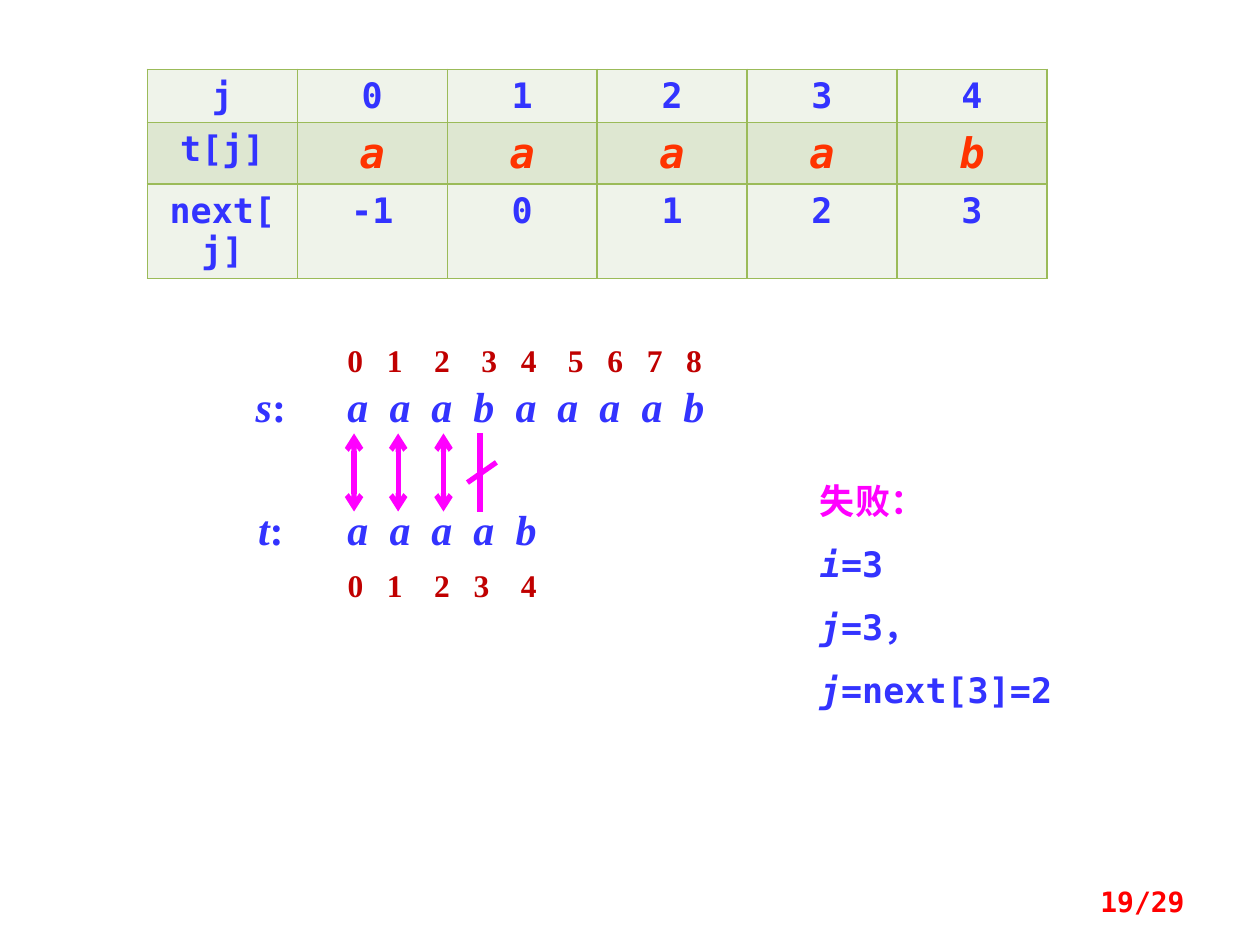
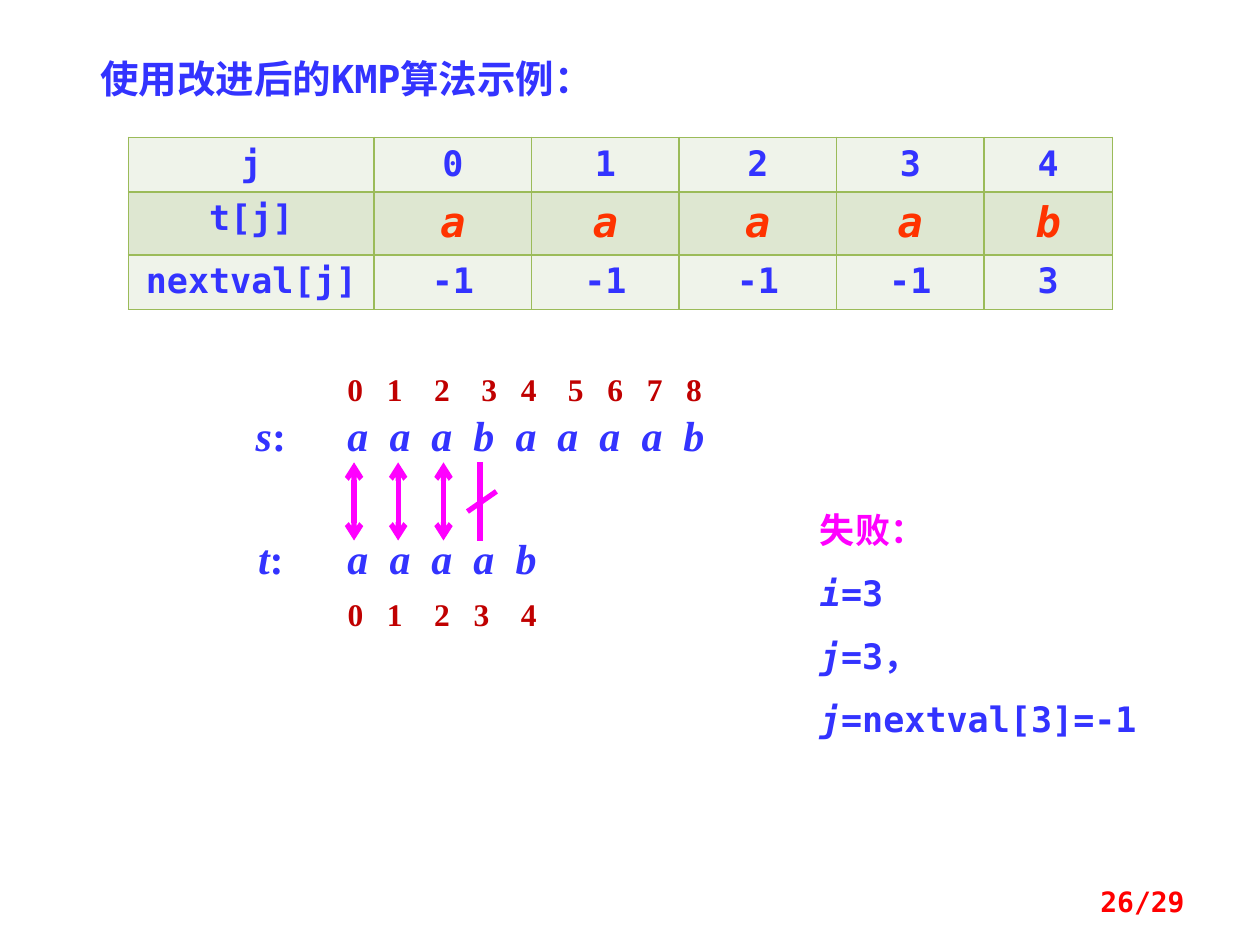
from lxml import etree
from pptx import Presentation
from pptx.dml.color import RGBColor
from pptx.enum.shapes import MSO_CONNECTOR as Connector
from pptx.enum.text import MSO_ANCHOR as Anchor, MSO_AUTO_SIZE as AutoSize, PP_ALIGN as Align
from pptx.oxml import parse_xml
from pptx.oxml.ns import nsdecls, qn
from pptx.util import Inches, Pt

# ---- Content ----
SLIDES = [
    dict(
        title=None, page="19/29",
        rows=[["j", "0", "1", "2", "3", "4"],
              ["t[j]", "a", "a", "a", "a", "b"],
              ["next[j]", "-1", "0", "1", "2", "3"]],
        table_at=(1.17, 0.55), columns=[1.19] * 6, heights=[0.42, 0.48, 0.42],
        trace_top=2.66, note_width=2.8, jump="=next[3]=2"),
    dict(
        title="使用改进后的KMP算法示例：", page="26/29",
        rows=[["j", "0", "1", "2", "3", "4"],
              ["t[j]", "a", "a", "a", "a", "b"],
              ["nextval[j]", "-1", "-1", "-1", "-1", "3"]],
        table_at=(1.02, 1.09), columns=[1.95, 1.25, 1.17, 1.25, 1.17, 1.02],
        heights=[0.43, 0.5, 0.43],
        trace_top=2.89, note_width=3.4, jump="=nextval[3]=-1"),
]
TARGET, PATTERN = "aaabaaaab", "aaaab"
# Tab stops of the index digits, in points
TARGET_STOPS = [22.5, 49.5, 76.5, 99, 126, 148.5, 171, 193.5]
PATTERN_STOPS = [22.5, 49.5, 72, 99]
LETTER_PITCH = 24

# ---- Theme ----
MONO, SERIF = "DejaVu Sans Mono", "Times New Roman"
BLUE, MAGENTA = "3333FF", "FF00FF"
THEME = dict(
    title=dict(name=MONO, size=22, color=BLUE, bold=True),
    cell=dict(name=MONO, size=20, color=BLUE, bold=True),
    pattern_cell=dict(name=MONO, size=24, color="FF3300", bold=True, italic=True),
    letter=dict(name=SERIF, size=24, color=BLUE, bold=True, italic=True),
    colon=dict(name=SERIF, size=24, color=BLUE, bold=True, italic=False),
    index=dict(name=SERIF, size=18, color="C00000", bold=True),
    failure=dict(name=MONO, size=20, color=MAGENTA, bold=True),
    variable=dict(name=MONO, size=20, color=BLUE, bold=True, italic=True),
    value=dict(name=MONO, size=20, color=BLUE, bold=True, italic=False),
    page=dict(name=MONO, size=16, color="FF0000", bold=True),
    row_fills=["EFF3EA", "DEE7D1", "EFF3EA"],
    border="9BBB59",
    mark=MAGENTA,
)

# ---- Grid, in inches ----
LABEL_X, LETTERS_X, NOTE_X = 1.8, 2.66, 6.41
MATCH_XS, MISMATCH_X = (2.81, 3.16, 3.52), 3.81
# Distances below the top of the trace
S_ROW, MARKS_TOP, NOTE_TOP, T_ROW, MARKS_END, T_INDEX = 0.31, 0.78, 0.93, 1.29, 1.4, 1.78


def add_runs(paragraph, parts):
    for text, style in parts:
        run = paragraph.add_run()
        run.text = text
        for attribute, value in THEME[style].items():
            if attribute == "color":
                run.font.color.rgb = RGBColor.from_string(value)
            else:
                setattr(run.font, attribute, Pt(value) if attribute == "size" else value)


def set_tabs(paragraph, stops):
    tabs = etree.SubElement(paragraph._p.get_or_add_pPr(), qn("a:tabLst"))
    for stop in stops:
        etree.SubElement(tabs, qn("a:tab"), pos=str(int(Pt(stop))), algn="l")


def add_text(slide, box, paragraphs, align=Align.LEFT, stops=(), spacing=None,
             anchor=Anchor.TOP, fit=AutoSize.SHAPE_TO_FIT_TEXT):
    frame = slide.shapes.add_textbox(*map(Inches, box)).text_frame
    frame.word_wrap, frame.auto_size, frame.vertical_anchor = True, fit, anchor
    for number, parts in enumerate(paragraphs):
        paragraph = frame.add_paragraph() if number else frame.paragraphs[0]
        if stops:
            set_tabs(paragraph, stops)
        paragraph.alignment = align
        if spacing:
            paragraph.line_spacing = spacing
        add_runs(paragraph, parts)


def add_borders(cell):
    properties = cell._tc.get_or_add_tcPr()
    for position, side in enumerate(("lnL", "lnR", "lnT", "lnB")):
        properties.insert(position, parse_xml(
            f'<a:{side} {nsdecls("a")} w="{int(Pt(1))}"><a:solidFill>'
            f'<a:srgbClr val="{THEME["border"]}"/></a:solidFill></a:{side}>'))


def add_next_table(slide, content):
    rows, columns, heights = content["rows"], content["columns"], content["heights"]
    box = (*content["table_at"], sum(columns), sum(heights))
    table = slide.shapes.add_table(len(rows), len(columns), *map(Inches, box)).table
    table.first_row = table.horz_banding = False
    for column, width in zip(table.columns, columns):
        column.width = Inches(width)
    for r, texts in enumerate(rows):
        table.rows[r].height = Inches(heights[r])
        for c, text in enumerate(texts):
            cell = table.cell(r, c)
            cell.fill.solid()
            cell.fill.fore_color.rgb = RGBColor.from_string(THEME["row_fills"][r])
            add_borders(cell)
            paragraph = cell.text_frame.paragraphs[0]
            paragraph.alignment = Align.CENTER
            add_runs(paragraph, [(text, "pattern_cell" if r == 1 and c else "cell")])


def add_mark(shapes, start, end, arrows=False):
    mark = shapes.add_connector(Connector.STRAIGHT, *map(Inches, (*start, *end)))
    mark.line.color.rgb = RGBColor.from_string(THEME["mark"])
    mark.line.width = Pt(3)
    if arrows:
        for tip in ("a:headEnd", "a:tailEnd"):
            etree.SubElement(mark.line._get_or_add_ln(), qn(tip), type="arrow")
    etree.SubElement(mark._element.spPr, qn("a:effectLst"))


def add_string(slide, name, letters, letters_y, index_y, stops):
    width = 3.36 if letters == TARGET else 1.95
    letter_stops = [LETTER_PITCH * n for n in range(1, len(letters))]
    add_text(slide, (LETTERS_X, letters_y, 3.36, 0.5),
             [[("\t".join(letters), "letter")]], stops=letter_stops)
    add_text(slide, (LABEL_X, letters_y, 0.7, 0.5),
             [[(name, "letter"), (":", "colon")]], Align.CENTER)
    digits = "\t".join(str(n) for n in range(len(letters)))
    add_text(slide, (LETTERS_X, index_y, width, 0.4), [[(digits, "index")]], stops=stops)


def add_trace(slide, top):
    add_string(slide, "s", TARGET, top + S_ROW, top, TARGET_STOPS)
    add_string(slide, "t", PATTERN, top + T_ROW, top + T_INDEX, PATTERN_STOPS)
    # Matching pairs, then the struck-out mismatch
    start, end = top + MARKS_TOP, top + MARKS_END
    for x in MATCH_XS:
        add_mark(slide.shapes, (x, start), (x, end), arrows=True)
    mismatch = slide.shapes.add_group_shape().shapes
    add_mark(mismatch, (MISMATCH_X, start), (MISMATCH_X, end))
    add_mark(mismatch, (MISMATCH_X + 0.13, start + 0.23), (MISMATCH_X - 0.1, start + 0.39))


def build_slide(deck, content):
    slide = deck.slides.add_slide(deck.slide_layouts[6])
    if content["title"]:
        add_text(slide, (0.7, 0.39, 4.69, 0.47), [[(content["title"], "title")]])
    add_next_table(slide, content)
    add_trace(slide, content["trace_top"])
    # Outcome of the comparison
    outcome = [[("失败：", "failure")],
               [("i", "variable"), ("=3", "value")],
               [("j", "variable"), ("=3，", "value"),
                ("j", "variable"), (content["jump"], "value")]]
    add_text(slide, (NOTE_X, content["trace_top"] + NOTE_TOP, content["note_width"], 1.6),
             outcome, spacing=1.5)
    # Page number
    add_text(slide, (7.17, 6.95, 2.33, 0.4), [[(content["page"], "page")]],
             Align.RIGHT, anchor=Anchor.MIDDLE, fit=AutoSize.NONE)


def main():
    deck = Presentation()
    deck.slide_width, deck.slide_height = Inches(10), Inches(7.5)
    for content in SLIDES:
        build_slide(deck, content)
    deck.save("out.pptx")


if __name__ == "__main__":
    main()
